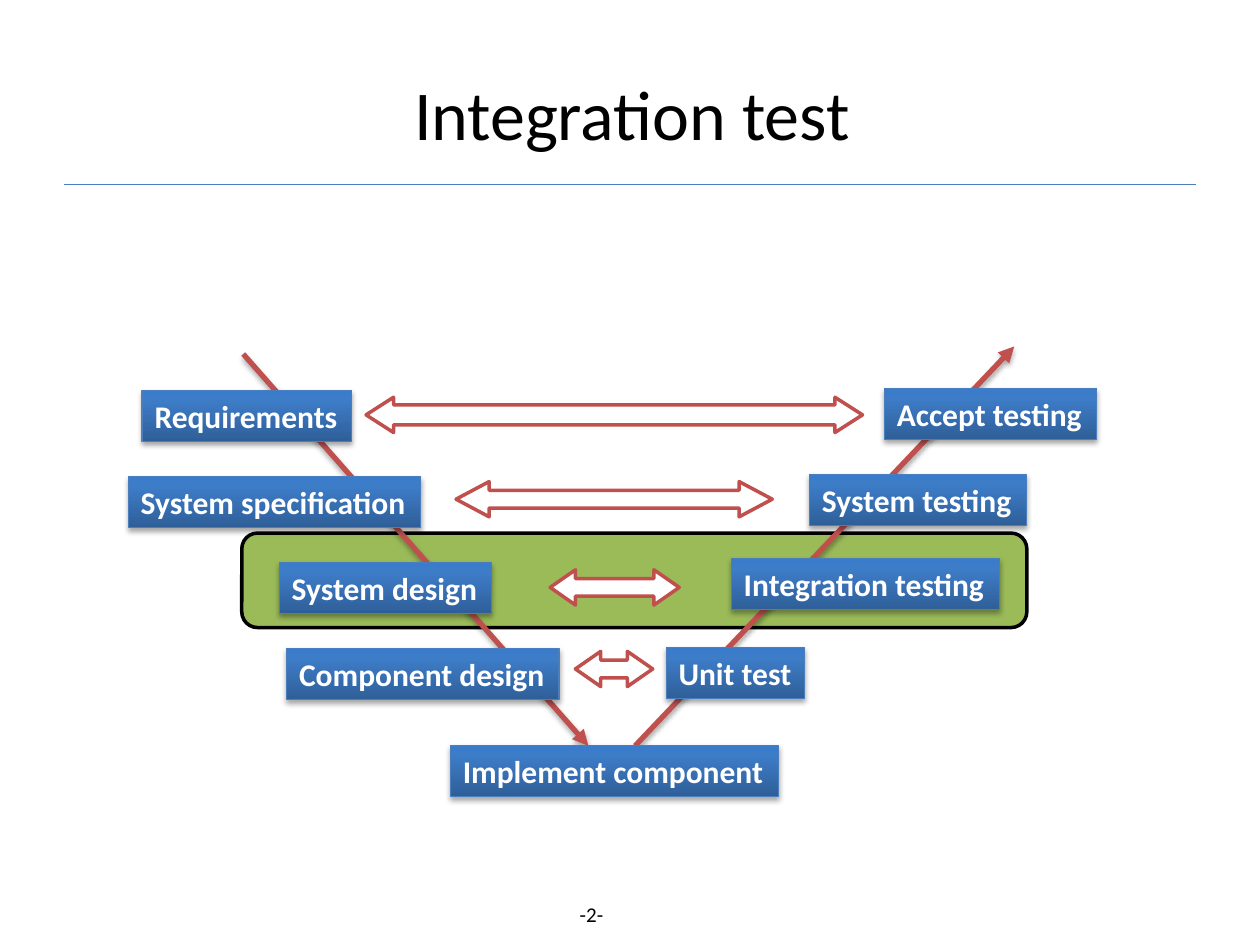
from pptx import Presentation
from pptx.dml.color import RGBColor
from pptx.enum.shapes import MSO_CONNECTOR as Connector, MSO_SHAPE as Preset
from pptx.enum.text import MSO_ANCHOR as Anchor, MSO_AUTO_SIZE as AutoSize, PP_ALIGN as Align
from pptx.oxml import parse_xml
from pptx.oxml.ns import nsdecls
from pptx.util import Pt

BLACK = RGBColor(0x00, 0x00, 0x00)
WHITE = RGBColor(0xFF, 0xFF, 0xFF)
BLUE = RGBColor(0x4B, 0x7E, 0xBC)
RED = RGBColor(0xC0, 0x50, 0x4D)
GREEN = RGBColor(0x9B, 0xBB, 0x59)
BOX_GRADIENT = (
    (0, RGBColor(0x2F, 0x5F, 0x99)),
    (80, RGBColor(0x3D, 0x7C, 0xC7)),
    (100, RGBColor(0x3A, 0x7C, 0xCB)),
)

FONT = "Calibri"
BOX_HEIGHT = 29.08
ARROW_HEIGHT = 20.16

# Label, left, top, width of each step of the V
STEPS = (
    ("Requirements", 81.2, 223.1, 119.7),
    ("System specification", 73.3, 272.2, 167.1),
    ("System design", 159.6, 321.4, 121.3),
    ("Component design", 163.8, 370.7, 155.7),
    ("Accept testing", 505.4, 222, 121.3),
    ("System testing", 462.6, 271.2, 123.8),
    ("Integration testing", 417.9, 319.3, 153.2),
    ("Unit test", 380.7, 370.2, 79.2),
    ("Implement component", 257.4, 426, 187.4),
)
# Left, top, width, shaft and head proportions of each link between the arms
LINKS = (
    (209.2, 227, 283.7, 0.57, 0.78),
    (260.6, 275.2, 180.7, 0.5, 0.94),
    (314.4, 325.6, 73.8, 0.5, 0.72),
    (328.8, 372.2, 44.2, 0.5, 0.72),
)
# Start and end points of the two arms of the V
ARMS = (
    (139, 202.3, 336.2, 426.2),
    (362.9, 426.2, 579.6, 198),
)


def apply(target, values):
    """Set each named attribute of the target."""
    for name, value in values.items():
        setattr(target, name, value)


def set_line(item, color, width):
    """Give a shape or connector a solid line."""
    item.line.color.rgb = color
    item.line.width = Pt(width)


def set_effects(item, shadow):
    """Replace the theme effect with a soft drop shadow, or with none."""
    drop = (
        f'<a:outerShdw blurRad="{Pt(3.1)}" dist="{Pt(1.8)}" dir="5400000" rotWithShape="0">'
        '<a:srgbClr val="000000"><a:alpha val="35000"/></a:srgbClr></a:outerShdw>'
    )
    content = drop if shadow else ""
    item._element.spPr.append(
        parse_xml(f'<a:effectLst {nsdecls("a")}>{content}</a:effectLst>'))


def set_gradient(shape, stops):
    """Fill a shape with a gradient that runs from bottom to top."""
    marks = "".join(
        f'<a:gs pos="{place * 1000}"><a:srgbClr val="{color}"/></a:gs>'
        for place, color in stops)
    geometry = shape._element.spPr.prstGeom
    geometry.addnext(parse_xml(
        f'<a:gradFill {nsdecls("a")} rotWithShape="1"><a:gsLst>{marks}</a:gsLst>'
        '<a:lin ang="16200000" scaled="0"/></a:gradFill>'))


def write_text(shape, text, size, color=BLACK, bold=False, align=Align.CENTER, **frame):
    """Write one paragraph into a shape and format it."""
    apply(shape.text_frame, frame)
    para = shape.text_frame.paragraphs[0]
    para.alignment = align
    span = para.add_run()
    span.text = text
    apply(span.font, {"name": FONT, "size": Pt(size), "bold": bold})
    span.font.color.rgb = color


def add_label(page, text, bounds, size, **frame):
    """Add a text box without fill or line."""
    box = page.shapes.add_textbox(*map(Pt, bounds))
    write_text(box, text, size, **frame)


def add_line(page, points, color, width, arrow=False):
    """Add a straight line; an arrow also has a head and a shadow."""
    line = page.shapes.add_connector(Connector.STRAIGHT, *map(Pt, points))
    set_line(line, color, width)
    if arrow:
        line.line._get_or_add_ln().append(
            parse_xml(f'<a:tailEnd {nsdecls("a")} type="triangle"/>'))
    set_effects(line, shadow=arrow)


def add_plain_shape(page, preset, bounds, fill, line_color, proportions=()):
    """Add a preset shape with a solid fill and a two-point line."""
    shape = page.shapes.add_shape(preset, *map(Pt, bounds))
    for index, value in enumerate(proportions):
        shape.adjustments[index] = value
    shape.fill.solid()
    shape.fill.fore_color.rgb = fill
    set_line(shape, line_color, 2)
    set_effects(shape, shadow=False)


def add_step(page, text, left, top, width):
    """Add a blue box that names one step."""
    box = page.shapes.add_shape(
        Preset.RECTANGLE, Pt(left), Pt(top), Pt(width), Pt(BOX_HEIGHT))
    set_gradient(box, BOX_GRADIENT)
    set_line(box, BLUE, 0.75)
    set_effects(box, shadow=True)
    write_text(box, text, 18, WHITE, bold=True, align=Align.LEFT, word_wrap=False,
               auto_size=AutoSize.SHAPE_TO_FIT_TEXT, vertical_anchor=Anchor.TOP)


def main():
    """Build the slide and save it."""
    deck = Presentation()
    apply(deck, {"slide_width": Pt(720), "slide_height": Pt(540)})
    page = deck.slides.add_slide(deck.slide_layouts[6])

    add_line(page, (36.7, 105.6, 683.3, 105.6), BLUE, 0.75)
    add_label(page, "-2-", (318.2, 511.9, 39.6, 21.6), 12, word_wrap=True)
    add_label(page, "Integration test", (70.6, 19.4, 581, 90), 40,
              word_wrap=True, vertical_anchor=Anchor.MIDDLE)

    add_plain_shape(page, Preset.ROUNDED_RECTANGLE, (138.2, 304.6, 448.6, 54), GREEN, BLACK)
    for points in ARMS:
        add_line(page, points, RED, 3, arrow=True)
    for step in STEPS:
        add_step(page, *step)
    for left, top, width, *proportions in LINKS:
        add_plain_shape(page, Preset.LEFT_RIGHT_ARROW, (left, top, width, ARROW_HEIGHT),
                        WHITE, RED, proportions)

    deck.save("out.pptx")


main()
